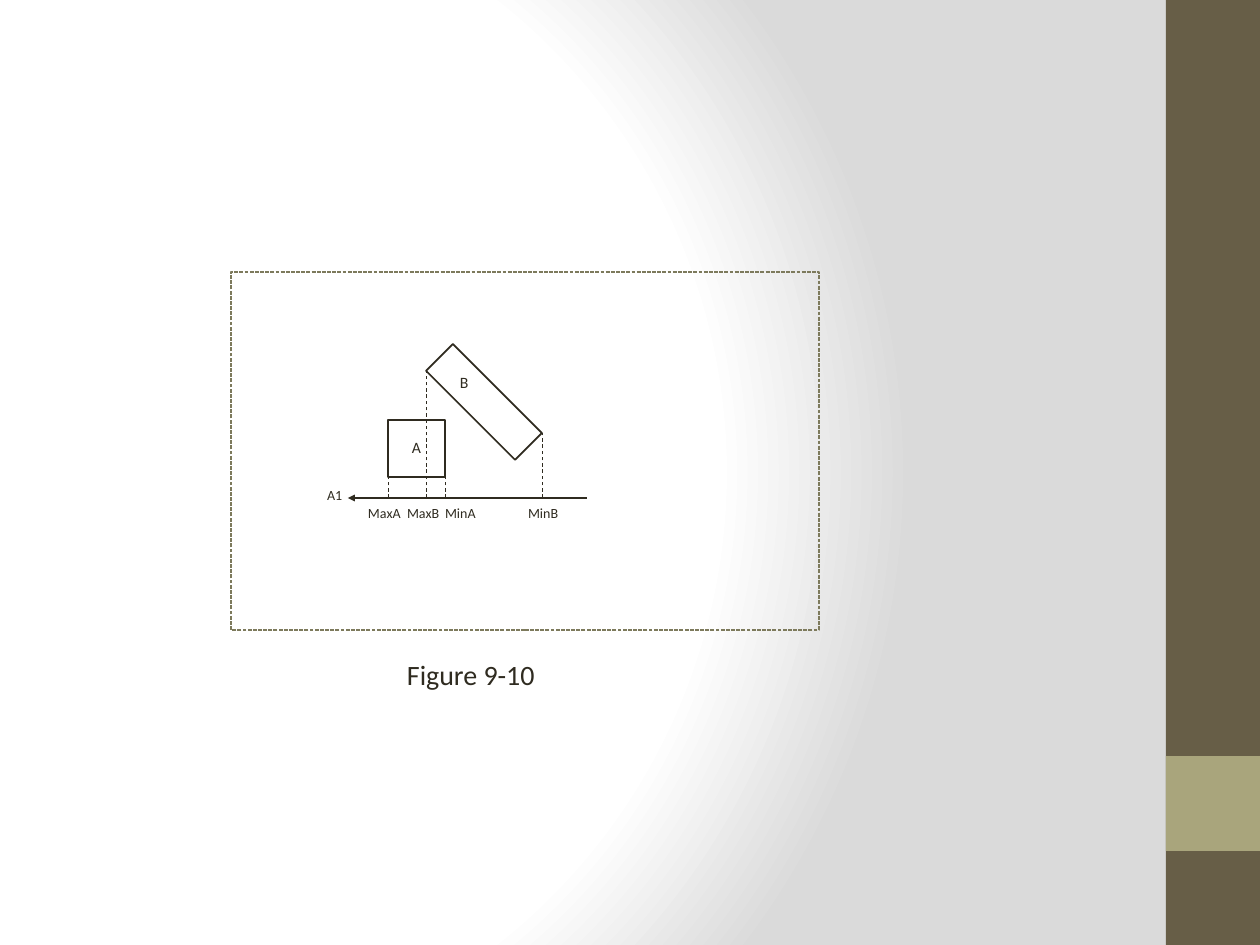
from dataclasses import dataclass

from lxml import etree
from pptx import Presentation
from pptx.dml.color import RGBColor
from pptx.enum.dml import MSO_LINE
from pptx.enum.shapes import MSO_CONNECTOR, MSO_SHAPE
from pptx.enum.text import MSO_AUTO_SIZE
from pptx.oxml import parse_xml
from pptx.oxml.ns import qn
from pptx.util import Emu, Pt

RECT = MSO_SHAPE.RECTANGLE
STRAIGHT = MSO_CONNECTOR.STRAIGHT
DASH = MSO_LINE.DASH
DOTS = MSO_LINE.SQUARE_DOT
GROW = MSO_AUTO_SIZE.SHAPE_TO_FIT_TEXT
SCALE = 914400 / 126
NS = "http://schemas.openxmlformats.org/drawingml/2006/main"


@dataclass(frozen=True)
class Theme:
    ink: str = "2F2B20"
    band: str = "675E47"
    block: str = "A9A57C"
    frame: str = "7D7A5C"
    fade: tuple = ((0, "FFFFFF"), (75, "FFFFFF"), (100, "DADADA"))
    font: str = "Calibri"
    small: int = 8
    name: int = 9
    title: int = 16


def px(n):
    return Emu(round(n * SCALE))


def color(code):
    return RGBColor.from_string(code)


def write(frame, text, size, tint, font, wrap=False):
    frame.margin_left = frame.margin_right = 0
    frame.margin_top = frame.margin_bottom = Pt(3.6)
    frame.word_wrap = wrap
    frame.auto_size = GROW
    run = frame.paragraphs[0].add_run()
    run.text = text
    run.font.size = Pt(size)
    run.font.name = font
    run.font.color.rgb = color(tint)


class Board:
    def __init__(self, slide, theme):
        self.slide = slide
        self.theme = theme

    def fade(self):
        self.slide.background.fill.solid()
        holder = self.slide.element.find(".//" + qn("p:bgPr"))
        stops = "".join(
            f'<a:gs pos="{at * 1000}"><a:srgbClr val="{code}"/></a:gs>'
            for at, code in self.theme.fade
        )
        grad = parse_xml(
            f'<a:gradFill xmlns:a="{NS}" rotWithShape="1"><a:gsLst>{stops}</a:gsLst>'
            '<a:path path="circle"><a:fillToRect l="20000" t="50000" '
            'r="100000" b="50000"/></a:path></a:gradFill>'
        )
        holder.replace(holder[0], grad)

    def box(self, x, y, w, h, fill=None, line=None, width=1, dash=None, turn=0):
        shape = self.slide.shapes.add_shape(RECT, px(x), px(y), px(w), px(h))
        shape.shadow.inherit = False
        shape.rotation = turn
        if fill:
            shape.fill.solid()
            shape.fill.fore_color.rgb = color(fill)
        else:
            shape.fill.background()
        if line:
            shape.line.color.rgb = color(line)
            shape.line.width = Pt(width)
            if dash:
                shape.line.dash_style = dash
        else:
            shape.line.fill.background()

    def line(self, x1, y1, x2, y2, width, dash=None, arrow=False):
        link = self.slide.shapes.add_connector(
            STRAIGHT, px(x1), px(y1), px(x2), px(y2)
        )
        link.line.color.rgb = color(self.theme.ink)
        link.line.width = Pt(width)
        if dash:
            link.line.dash_style = dash
        if arrow:
            stroke = link.element.find(".//" + qn("a:ln"))
            etree.SubElement(stroke, qn("a:tailEnd"), type="triangle",
                             w="sm", len="sm")
        etree.SubElement(link.element.find(qn("p:spPr")), qn("a:effectLst"))

    def label(self, text, x, y, w, h, size, wrap=False):
        area = self.slide.shapes.add_textbox(px(x), px(y), px(w), px(h))
        write(area.text_frame, text, size=size, tint=self.theme.ink,
              font=self.theme.font, wrap=wrap)


deck = Presentation()
deck.slide_width, deck.slide_height = px(1260), px(945)
theme = Theme()
board = Board(deck.slides.add_slide(deck.slide_layouts[6]), theme)

board.fade()
board.box(1166, 0, 94, 945, fill=theme.band)
board.box(1166, 756, 94, 95, fill=theme.block)

axis = 498
board.line(587, axis, 348, axis, 0.75, arrow=True)
for x, top in ((388, 477), (445, 477), (426, 370), (542, 433)):
    board.line(x, axis, x, top, 0.5, dash=DASH)

for text, x, y in (("A", 412, 432), ("B", 460, 367)):
    board.label(text, x, y, 10, 32, theme.name)
board.label("A1", 327, 480, 18, 30, theme.small)
for text, x in (("MaxA", 368), ("MaxB", 407), ("MinA", 445), ("MinB", 528)):
    board.label(text, x, axis, 34, 30, theme.small)

board.box(231, 272, 588, 358, line=theme.frame, width=0.75, dash=DOTS)
board.box(388, 420, 57, 57, line=theme.ink)
board.box(421, 383, 126, 38, line=theme.ink, turn=45)
board.label("Figure 9-10", 407, 651, 292, 47, theme.title, wrap=True)

deck.save("out.pptx")
